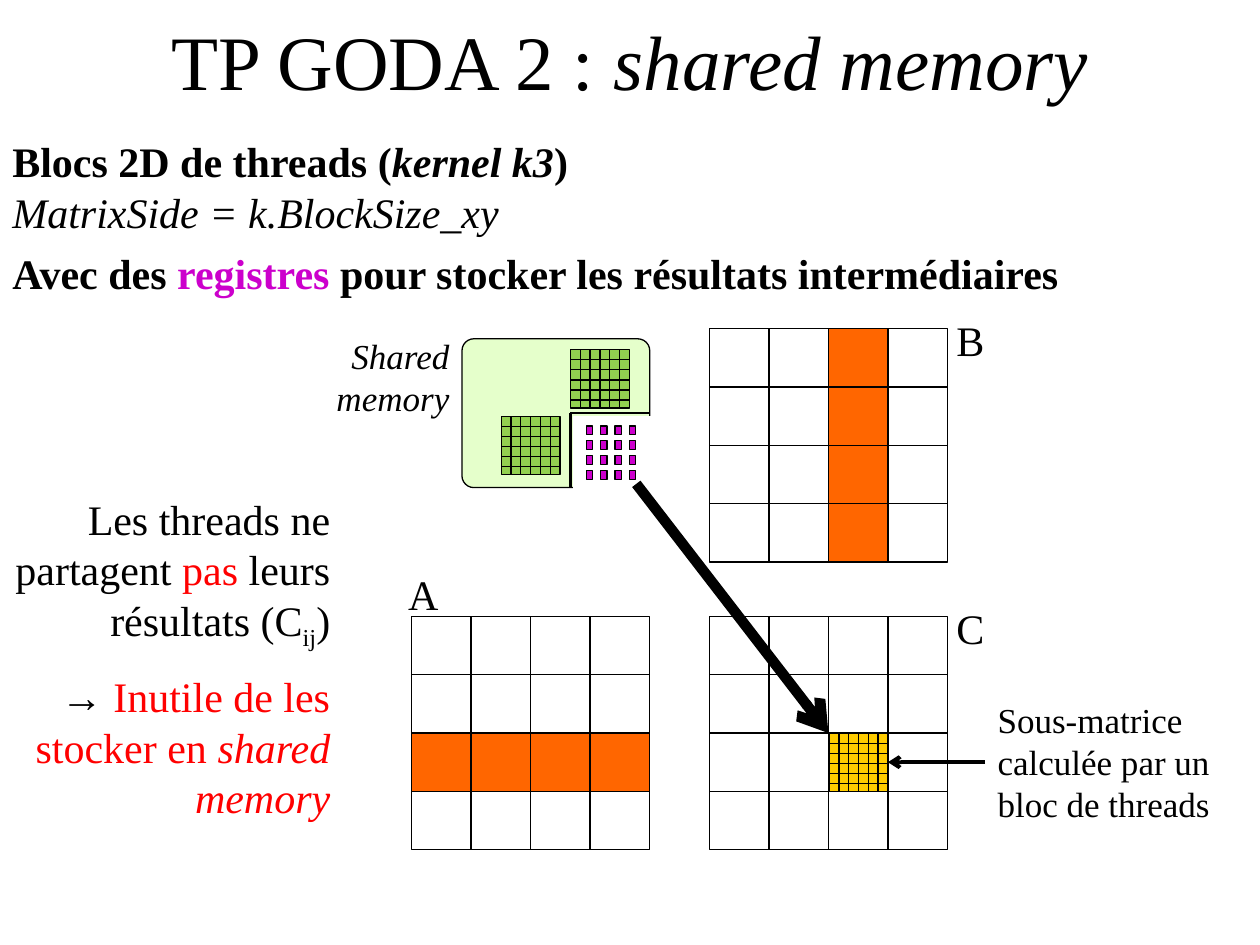
from pptx import Presentation
from pptx.dml.color import RGBColor
from pptx.enum.shapes import MSO_CONNECTOR, MSO_SHAPE
from pptx.enum.text import MSO_ANCHOR, MSO_AUTO_SIZE, PP_ALIGN
from pptx.oxml.ns import qn
from pptx.util import Pt
from lxml.etree import SubElement

BLACK = RGBColor(0, 0, 0)
WHITE = RGBColor(255, 255, 255)
RED = RGBColor(255, 0, 0)
ORANGE = RGBColor(255, 102, 0)
GOLD = RGBColor(255, 204, 0)
GREEN = RGBColor(146, 208, 80)
PALE = RGBColor(204, 255, 153)
PURPLE = RGBColor(204, 0, 204)
FONT = "Times New Roman"
LEFT, MID, RIGHT = PP_ALIGN.LEFT, PP_ALIGN.CENTER, PP_ALIGN.RIGHT

BOLD, ITAL = {"bold": True}, {"italic": True}

# box, size, alignment, wrap, paragraphs of (text, format) runs
TITLE = ((54, 2, 612, 64), 44, MID, True,
         [[("TP GODA 2 : ", {}), ("shared memory", ITAL)]])
LABELS = [
    ((182.4, 187.6, 81.5, 55.5), 20, RIGHT, False,
     [[("Shared", ITAL)], [("memory", ITAL)]]),
    ((539, 176.4, 31, 36), 24, MID, False, [[("B", {})]]),
    ((225.7, 321.5, 32.4, 36), 24, MID, False, [[("A", {})]]),
    ((539, 340.6, 31, 36), 24, MID, False, [[("C", {})]]),
    ((0, 278.4, 195.8, 193), 24, RIGHT, True, [
        [("Les threads ne partagent ", {}), ("pas", {"color": RED}),
         (" leurs résultats (C", {}), ("ij", {"base": -25000}), (")", {})],
        [("→ ", {}), ("Inutile de les stocker en ", {"color": RED}),
         ("shared memory", {"color": RED, "italic": True})]]),
    ((0, 138.2, 617.8, 36), 24, LEFT, False,
     [[("Avec des ", BOLD), ("registres ", {"bold": True, "color": PURPLE}),
       ("pour stocker les résultats intermédiaires", BOLD)]]),
    ((0, 74, 360, 65.5), 24, LEFT, True,
     [[("Blocs 2D de threads (", BOLD),
       ("kernel k3", {"bold": True, "italic": True}), (")", BOLD)],
      [("MatrixSide = k.BlockSize_xy", ITAL)]]),
]
NOTE = ((563, 396, 147, 80), 20, LEFT, True,
        [[("Sous-matrice calculée par un bloc de threads", {})]])
GAP = 11

# matrices: left, top
A, B, C = (235.2, 352.3), (405.4, 187.9), (405.4, 352.3)
WIDE, HIGH, SIDE = 34, 33.3, 4
PICK = 2
TILE, FINE = 6, 5.76
TILES = [(286.4, 237.8), (326, 199.8)]


def paint(shape, fill, line=BLACK):
    shape.shadow.inherit = False
    shape.fill.solid()
    shape.fill.fore_color.rgb = fill
    shape.line.color.rgb = line
    shape.line.width = Pt(0.75)
    return shape


def block(shapes, box, fill, line=BLACK, kind=MSO_SHAPE.RECTANGLE):
    return paint(shapes.add_shape(kind, *map(Pt, box)), fill, line)


def stroke(shapes, ends, width=0.75, arrow=False):
    link = shapes.add_connector(MSO_CONNECTOR.STRAIGHT, *map(Pt, ends))
    link.line.color.rgb = BLACK
    link.line.width = Pt(width)
    if arrow:
        SubElement(link.line._get_or_add_ln(), qn("a:tailEnd"), type="arrow")
    SubElement(link._element.spPr, qn("a:effectLst"))
    return link


def grid(shapes, spot, size, step, count, fill):
    """Draw a grouped rectangle cut by inner lines; return the rectangle."""
    (x, y), (w, h), (dx, dy) = spot, size, step
    parts = shapes.add_group_shape().shapes
    base = block(parts, (x, y, w, h), fill)
    for i in range(1, count):
        stroke(parts, (x + i * dx, y, x + i * dx, y + h))
        stroke(parts, (x, y + i * dy, x + w, y + i * dy))
    return base


def matrix(shapes, spot):
    grid(shapes, spot, (WIDE * SIDE, HIGH * SIDE), (WIDE, HIGH), SIDE, WHITE)


def tile(shapes, spot, fill):
    return grid(shapes, spot, (WIDE - 0.4, HIGH), (5.6, FINE), TILE, fill)


def write(shapes, box, size, align, wrap, paras):
    label = shapes.add_textbox(*map(Pt, box))
    frame = label.text_frame
    frame.word_wrap = wrap
    frame.auto_size = MSO_AUTO_SIZE.SHAPE_TO_FIT_TEXT
    for i, runs in enumerate(paras):
        para = frame.add_paragraph() if i else frame.paragraphs[0]
        para.alignment = align
        if i and len(runs) > 1:
            para.space_before = Pt(GAP)
        for text, look in runs:
            run = para.add_run()
            run.text = text
            look = {"name": FONT, "size": Pt(size), "color": BLACK, **look}
            for key, value in look.items():
                if key == "color":
                    run.font.color.rgb = value
                elif key == "base":
                    run.font._element.set("baseline", str(value))
                else:
                    setattr(run.font, key, value)
    return label


def memory(shapes):
    """Draw the shared memory with its two tiles and the registers."""
    x, y, w, h = 264, 193.6, 107.3, 85
    cutx, cuty = 326, 236
    parts = shapes.add_group_shape().shapes
    pool = block(parts, (x, y, w, h), PALE, kind=MSO_SHAPE.ROUNDED_RECTANGLE)
    pool.adjustments[0] = 0.08
    tint = pool.fill._xPr.find(qn("a:solidFill"))[0]
    SubElement(tint, qn("a:alpha"), val="50000")
    stroke(parts, (x + w, cuty, cutx, cuty), 1.5)
    stroke(parts, (cutx, cuty, cutx, y + h), 1.5)
    for spot in TILES:
        tile(parts, spot, GREEN)
    block(parts, (328, 237.8, 51, 44.6), WHITE, WHITE)
    for i in range(SIDE * SIDE):
        row, col = divmod(i, SIDE)
        block(parts, (335 + col * 8.2, 243.4 + row * 8.5, 3.8, 5), PURPLE)


def main():
    deck = Presentation()
    deck.slide_width, deck.slide_height = Pt(720), Pt(540)
    shapes = deck.slides.add_slide(deck.slide_layouts[6]).shapes
    for spot in (C, B, A):
        matrix(shapes, spot)
    goal = (C[0] + PICK * WIDE, C[1] + PICK * HIGH)
    result = tile(shapes, (goal[0] + 0.4, goal[1]), GOLD)
    for label in LABELS:
        write(shapes, *label)
    for i in range(SIDE):
        for x, y in ((A[0] + i * WIDE, goal[1]), (goal[0], B[1] + i * HIGH)):
            block(shapes, (x, y, WIDE, HIGH), ORANGE)
    note = write(shapes, *NOTE)
    level = goal[1] + HIGH / 2
    note.top = Pt(level) - note.height // 2
    link = stroke(shapes, (563, level, 507.4, level), 2.25, True)
    link.begin_connect(note, 1)
    link.end_connect(result, 3)
    title = write(shapes, *TITLE).text_frame
    title.auto_size = MSO_AUTO_SIZE.NONE
    title.vertical_anchor = MSO_ANCHOR.MIDDLE
    memory(shapes)
    stroke(shapes, (363.6, 276.5, *goal), 6, True)
    deck.save("out.pptx")


if __name__ == "__main__":
    main()
